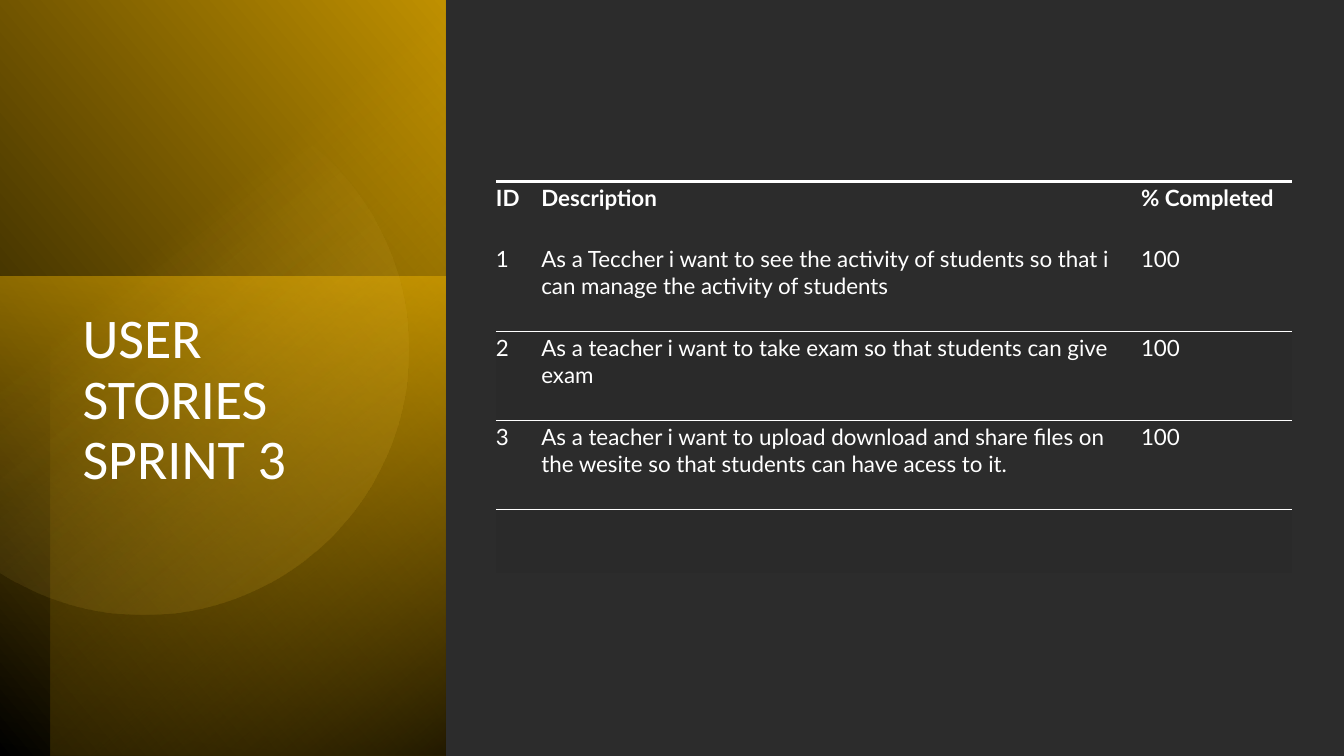
from collections import namedtuple
from dataclasses import dataclass
from math import cos, radians, sin

from lxml import etree
from pptx import Presentation
from pptx.dml.color import RGBColor
from pptx.enum.shapes import MSO_SHAPE
from pptx.oxml import parse_xml
from pptx.oxml.ns import nsdecls, qn
from pptx.util import Pt

Box = namedtuple("Box", "left top width height")
Stop = namedtuple("Stop", "position color opacity")


@dataclass(frozen=True)
class Theme:
    background: str = "2C2C2C"
    band: str = "2A2A2A"
    text: str = "FFFFFF"
    black: str = "000000"
    gold: str = "FFC000"
    gold_deep: str = "BF9000"
    gold_dark: str = "806000"
    gold_light: str = "FFD966"
    title_font: str = "Calibri"
    table_font: str = "Lato"
    title_size: float = 40
    table_size: float = 16
    heavy_rule: float = 2.25
    thin_rule: float = 0.5


THEME = Theme()
PLAIN_TABLE_STYLE = "{2D5ABB26-0587-4C30-8999-92F81FD0307C}"

STORIES = [
    ("ID", "Description", "% Completed"),
    ("1", "As a Teccher i want to see the activity of students so that i "
          "can manage the activity of students", "100"),
    ("2", "As a teacher i want to take exam so that students can give exam", "100"),
    ("3", "As a teacher i want to upload download and share files on the wesite "
          "so that students can have acess to it.", "100"),
    ("", "", ""),
]


def write_text(text_frame, text, *, font, size, color=THEME.text, bold=False, line_spacing=None):
    text_frame.word_wrap = True
    paragraph = text_frame.paragraphs[0]
    paragraph.text = text
    paragraph.line_spacing = line_spacing
    for run in paragraph.runs:
        run.font.name = font
        run.font.size = Pt(size)
        run.font.bold = bold
        run.font.color.rgb = RGBColor.from_string(color)


def style_gradient(shape, stops, angle):
    """Give the shape a linear gradient with opacity, and no line or shadow."""
    shape.shadow.inherit = False
    shape.line.fill.background()
    shape.fill.gradient()
    gradient = shape._element.spPr.find(qn("a:gradFill"))
    stop_xml = "".join(
        f'<a:gs pos="{stop.position * 1000}"><a:srgbClr val="{stop.color}">'
        f'<a:alpha val="{stop.opacity * 1000}"/></a:srgbClr></a:gs>'
        for stop in stops)
    gradient.getparent().replace(gradient, parse_xml(
        f'<a:gradFill {nsdecls("a")}><a:gsLst>{stop_xml}</a:gsLst>'
        f'<a:lin ang="{angle * 60000}" scaled="0"/></a:gradFill>'))


def add_turned_rectangle(slide, box, rotation, stops, angle, flip=False):
    """Fill the box with a rectangle that is turned by a quarter."""
    left = box.left + (box.width - box.height) / 2
    top = box.top + (box.height - box.width) / 2
    shape = slide.shapes.add_shape(
        MSO_SHAPE.RECTANGLE, Pt(left), Pt(top), Pt(box.height), Pt(box.width))
    shape.rotation = rotation
    if flip:
        shape._element.spPr.find(qn("a:xfrm")).set("flipH", "1")
    style_gradient(shape, stops, angle)


def add_cut_circle(slide, left, top, radius, rotation, stops, angle):
    """Draw a circle cut off by a chord, then turn it."""
    start, sweep, steps = 135.5, 245.8, 120
    angles = [radians(start + sweep * step / steps) for step in range(steps + 1)]
    points = [(Pt(left + radius + radius * cos(turn)), Pt(top + radius + radius * sin(turn)))
              for turn in angles]
    builder = slide.shapes.build_freeform(*points[0])
    builder.add_line_segments(points[1:], close=True)
    shape = builder.convert_to_shape()
    shape.rotation = rotation
    style_gradient(shape, stops, angle)


def add_title_panel(slide, box):
    # Layered gold gradients
    add_turned_rectangle(
        slide, box, 90,
        [Stop(0, THEME.black, 100), Stop(100, THEME.gold_deep, 100)], 310, flip=True)
    lower_top = 197.28
    add_turned_rectangle(
        slide, Box(box.left, box.top + lower_top, box.width, box.height - lower_top), 270,
        [Stop(0, THEME.gold, 50), Stop(100, THEME.gold_dark, 0)], 190)
    strip = 36
    add_turned_rectangle(
        slide, Box(box.left + strip, box.top, box.width - strip, box.height), 270,
        [Stop(0, THEME.black, 59), Stop(69, THEME.gold, 0)], 220, flip=True)
    add_cut_circle(
        slide, box.left - 59.04, box.top + 94.32, 189.36, 101.6,
        [Stop(39, THEME.gold_light, 0), Stop(100, THEME.gold_deep, 26)], 310)

    # Title
    title = slide.shapes.add_textbox(
        Pt(box.left + 51.84), Pt(box.top + 218.16), Pt(226.8), Pt(241.92))
    write_text(title.text_frame, "USER STORIES\nSPRINT 3", font=THEME.title_font,
               size=THEME.title_size, line_spacing=0.9)


def add_top_rule(cell, width):
    rule = parse_xml(
        f'<a:lnT {nsdecls("a")} w="{Pt(width)}"><a:solidFill>'
        f'<a:srgbClr val="{THEME.text}"/></a:solidFill></a:lnT>')
    cell._tc.get_or_add_tcPr().insert(0, rule)


def add_story_table(slide, box):
    column_widths = [32.4, 428.4, 108]
    row_heights = [43.92, 63.36, 63.36, 63.36, 46.08]
    frame = slide.shapes.add_table(
        len(STORIES), len(column_widths), *(Pt(length) for length in box))
    table = frame.table
    table.horz_banding = False
    frame._element.find(".//" + qn("a:tableStyleId")).text = PLAIN_TABLE_STYLE
    for column, width in zip(table.columns, column_widths):
        column.width = Pt(width)

    for row_index, (row, height, story) in enumerate(zip(table.rows, row_heights, STORIES)):
        row.height = Pt(height)
        header = row_index == 0
        banded = row_index > 0 and row_index % 2 == 0
        for cell, text in zip(row.cells, story):
            cell.margin_left, cell.margin_top = Pt(0), Pt(2.16)
            cell.margin_right, cell.margin_bottom = Pt(5.76), Pt(17.28)
            write_text(cell.text_frame, text, font=THEME.table_font,
                       size=THEME.table_size, bold=header)
            if banded:
                cell.fill.solid()
                cell.fill.fore_color.rgb = RGBColor.from_string(THEME.band)
            else:
                cell.fill.background()
            if header or banded:
                add_top_rule(cell, THEME.heavy_rule if header else THEME.thin_rule)


def main():
    presentation = Presentation()
    presentation.slide_width, presentation.slide_height = Pt(960), Pt(540)
    slide = presentation.slides.add_slide(presentation.slide_layouts[6])
    slide.background.fill.solid()
    slide.background.fill.fore_color.rgb = RGBColor.from_string(THEME.background)
    add_title_panel(slide, Box(0, 0, 318.24, 540))
    add_story_table(slide, Box(354.24, 129.6, 568.8, 280.08))
    presentation.save("out.pptx")


if __name__ == "__main__":
    main()
